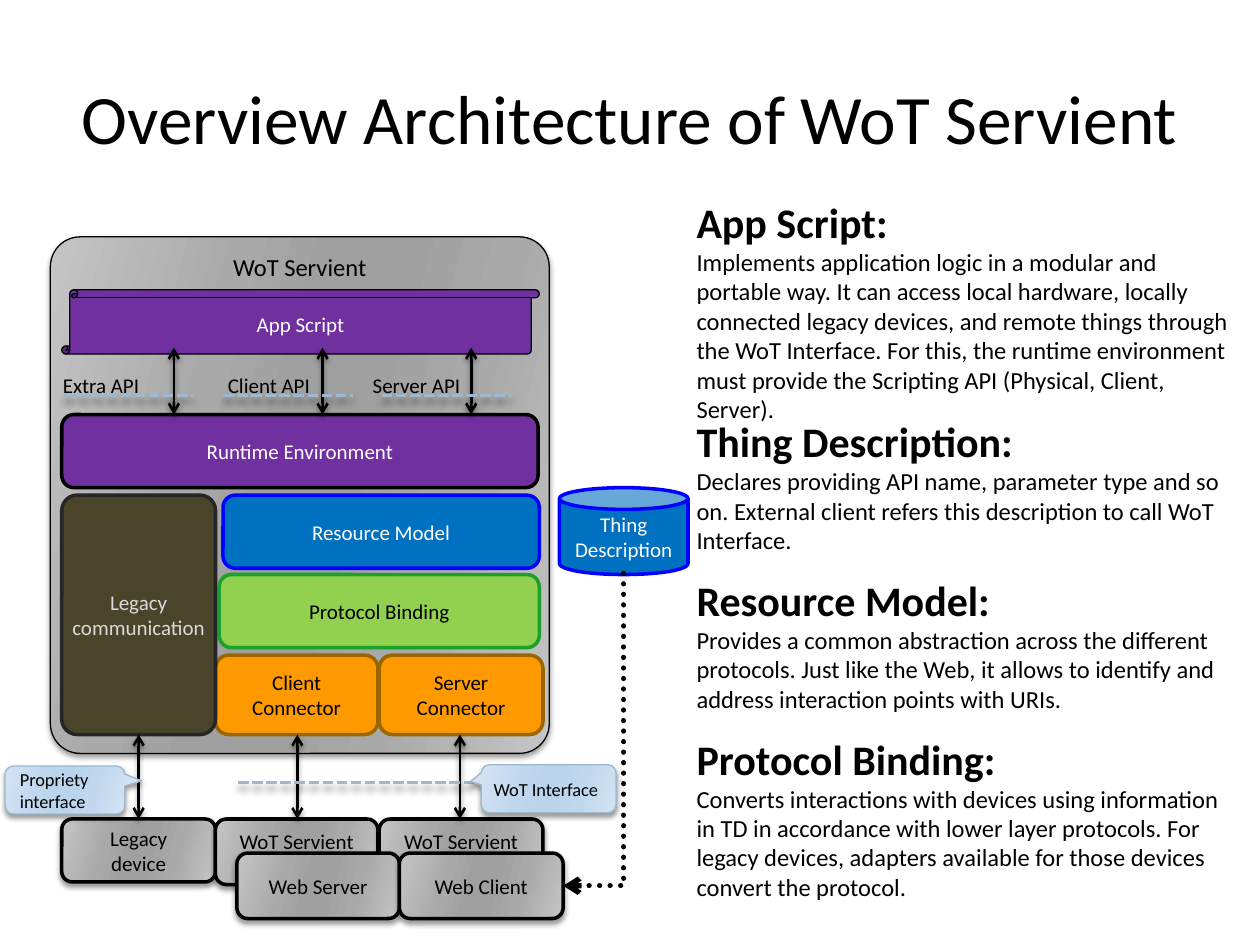
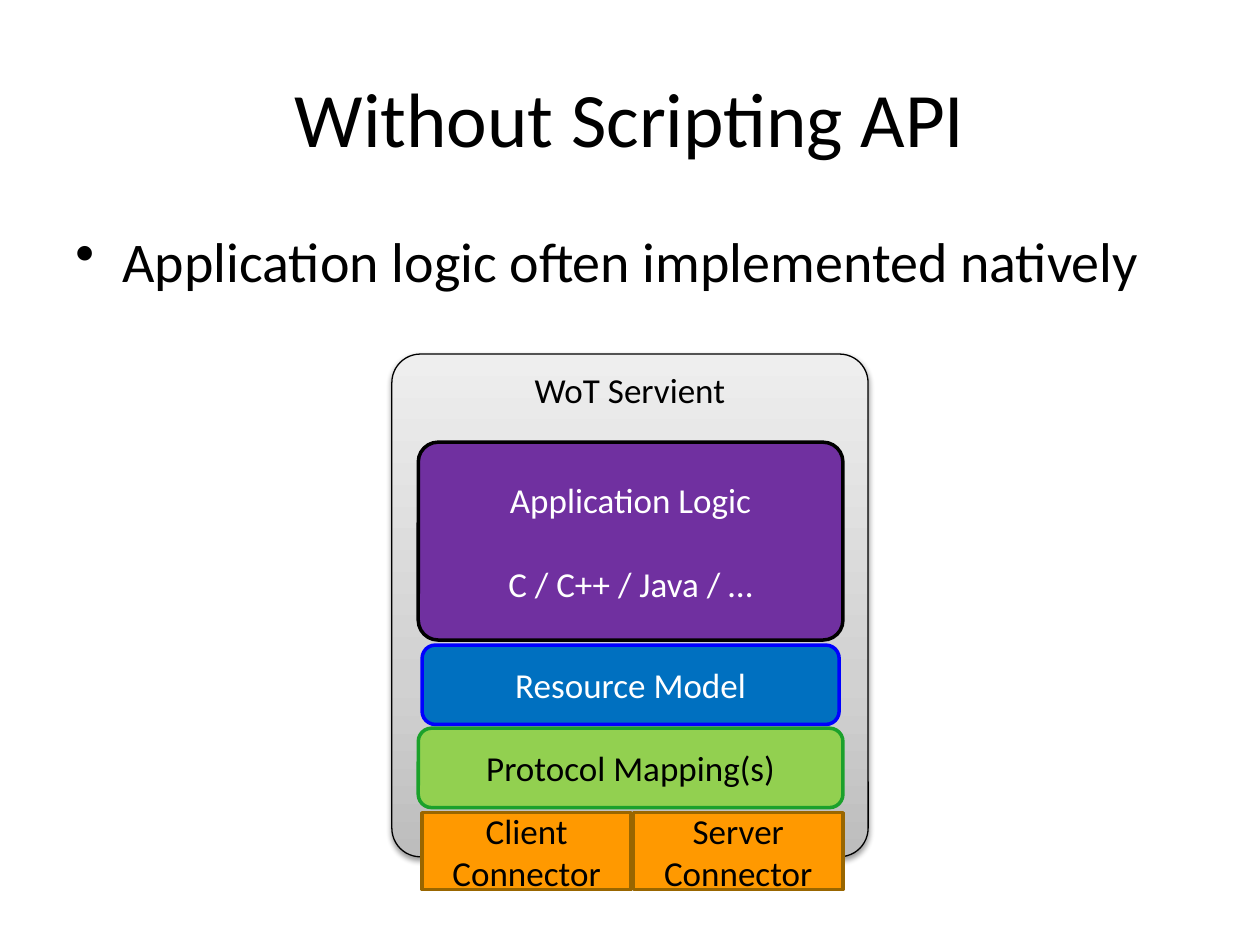
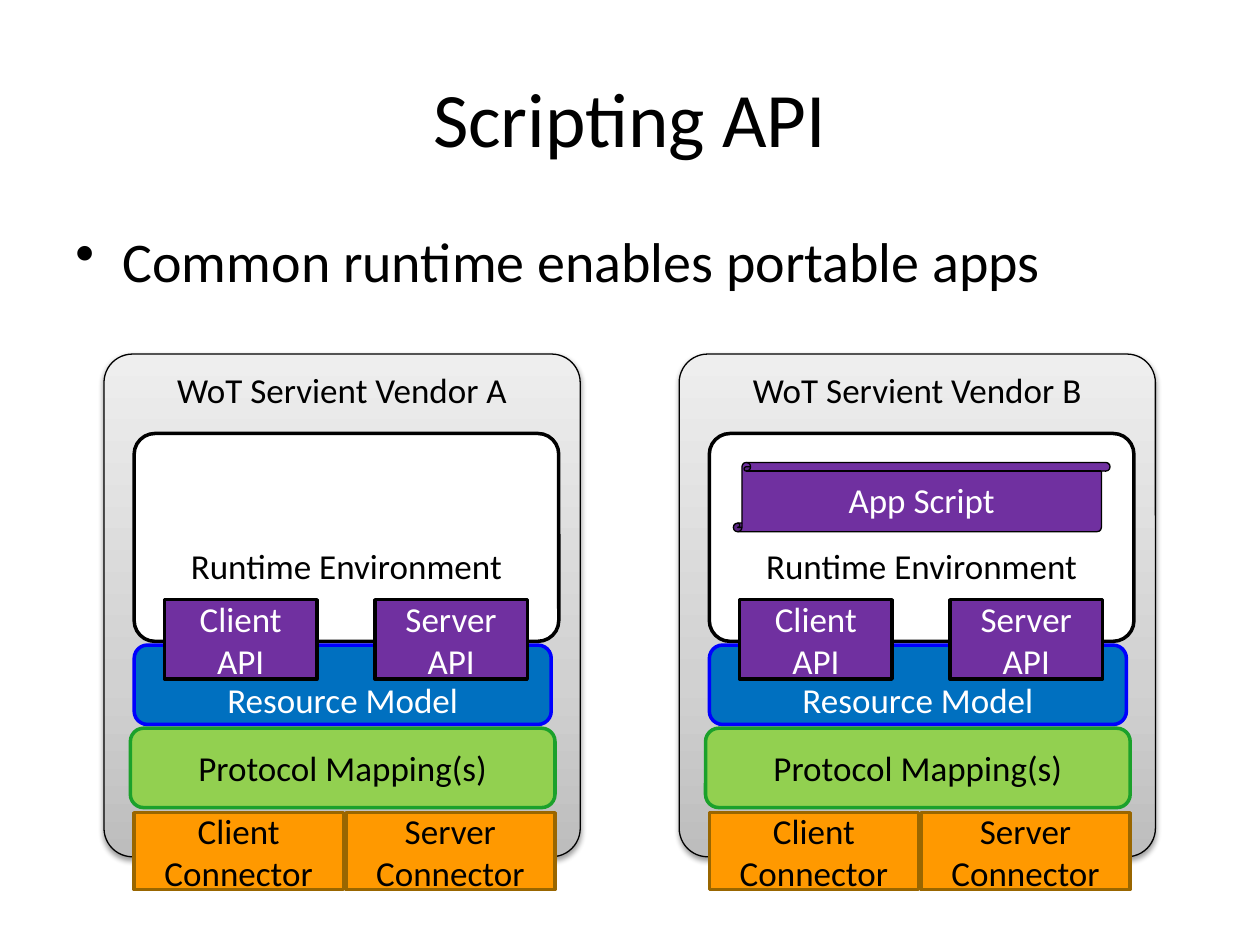
"""Build three slides on the architecture of a WoT servient."""
from dataclasses import dataclass, replace
from typing import NamedTuple, Optional, Union

from pptx import Presentation
from pptx.dml.color import RGBColor
from pptx.enum.dml import MSO_LINE
from pptx.enum.shapes import MSO_CONNECTOR, MSO_SHAPE
from pptx.enum.text import MSO_ANCHOR, MSO_AUTO_SIZE, PP_ALIGN
from pptx.oxml import parse_xml
from pptx.oxml.ns import nsdecls, qn
from pptx.oxml.xmlchemy import OxmlElement
from pptx.slide import Slide
from pptx.text.text import TextFrame
from pptx.util import Inches, Pt

WIDE, TALL = Inches(10), Inches(7.5)
COLS, ROWS = 100, 75
FONT = "Calibri"

BLACK = RGBColor(0x00, 0x00, 0x00)
WHITE = RGBColor(0xFF, 0xFF, 0xFF)
PURPLE = RGBColor(0x70, 0x30, 0xA0)
BLUE = RGBColor(0x00, 0x70, 0xC0)
DEEP = RGBColor(0x00, 0x00, 0xFF)
LIME = RGBColor(0x92, 0xD0, 0x50)
GREEN = RGBColor(0x1B, 0xA1, 0x2B)
ORANGE = RGBColor(0xFF, 0x99, 0x00)
BROWN = RGBColor(0x99, 0x66, 0x00)
OLIVE = RGBColor(0x4A, 0x45, 0x2A)
COAL = RGBColor(0x26, 0x26, 0x26)
PALE = RGBColor(0xD9, 0xD9, 0xD9)
STEEL = RGBColor(0x9F, 0xB8, 0xCD)


class Fade(NamedTuple):
    """A linear gradient: stops of percent and colour, clockwise angle."""
    stops: tuple
    angle: float


class Shade(NamedTuple):
    """A shadow that falls straight down."""
    alpha: float
    blur: float
    drop: float


class Look(NamedTuple):
    """Fill, outline and text colour of a box."""
    fill: Union[RGBColor, Fade]
    edge: RGBColor
    ink: RGBColor
    weight: float = 2
    shade: Optional[Shade] = None


@dataclass(frozen=True)
class Box:
    """A labelled shape, placed in grid columns and rows."""
    x: float
    y: float
    w: float
    h: float
    text: str
    look: Look
    size: float = 20
    kind: MSO_SHAPE = MSO_SHAPE.ROUNDED_RECTANGLE
    adj: tuple = ()
    anchor: MSO_ANCHOR = MSO_ANCHOR.MIDDLE
    align: PP_ALIGN = PP_ALIGN.CENTER
    wrap: bool = True
    inset: tuple = (1, 0.5, 1, 0.5)
    gap: float = 0


def mirror(ends: tuple, angle: float) -> Fade:
    """Return a gradient whose second half mirrors the first."""
    rim, mid, core = (RGBColor.from_string(end) for end in ends)
    return Fade(((0, rim), (30, mid), (45, core), (55, core), (73, mid), (100, rim)), angle)


SOFT = Shade(40, 3, 2)
FAR = Shade(40, 4, 3.4)
METAL = mirror(("C5C5C5", "A9A9A9", "A0A0A0"), 16)
SKY = mirror(("D3E3F2", "C0D8EE", "BAD4EC"), 16)
SILVER = Fade(((0, RGBColor(0xBD, 0xBD, 0xBD)), (35, RGBColor(0xD1, 0xD1, 0xD1)),
               (100, RGBColor(0xEE, 0xEE, 0xEE))), 270)

FRAME = Look(METAL, BLACK, BLACK, 0.75, SOFT)
NODE = Look(METAL, BLACK, BLACK, 2, SOFT)
NOTE = Look(SKY, STEEL, BLACK, 0.75, SOFT)
PANEL = Look(SILVER, BLACK, BLACK, 0.75, Shade(38, 3.1, 1.6))
APP = Look(PURPLE, BLACK, WHITE)
SCROLL = Look(PURPLE, BLACK, WHITE, 0.75)
MODEL = Look(BLUE, DEEP, WHITE)
BIND = Look(LIME, GREEN, BLACK)
PORT = Look(ORANGE, BROWN, BLACK)
OLD = Look(OLIVE, COAL, PALE)
BLANK = Look(WHITE, BLACK, BLACK)


def col(n: float) -> int:
    """Return the length of n grid columns."""
    return round(WIDE * n / COLS)


def row(n: float) -> int:
    """Return the length of n grid rows."""
    return round(TALL * n / ROWS)


def place(x: float, y: float, w: float, h: float) -> tuple:
    """Turn a grid area into slide lengths."""
    return col(x), row(y), col(w), row(h)


def write(frame: TextFrame, text: str, *, size: float, ink: RGBColor = BLACK,
          head: float = 0, align: PP_ALIGN = PP_ALIGN.LEFT,
          anchor: MSO_ANCHOR = MSO_ANCHOR.TOP, wrap: bool = True,
          inset: tuple = (1, 0.5, 1, 0.5), gap: float = 0,
          bullet: str = "", grow: bool = False) -> None:
    """Fill a frame with one paragraph per line; head sets a bold first line."""
    frame.word_wrap = wrap
    frame.auto_size = MSO_AUTO_SIZE.SHAPE_TO_FIT_TEXT if grow else MSO_AUTO_SIZE.NONE
    frame.vertical_anchor = anchor
    (frame.margin_left, frame.margin_top,
     frame.margin_right, frame.margin_bottom) = place(*inset)
    for i, line in enumerate(text.split("\n")):
        para = frame.add_paragraph() if i else frame.paragraphs[0]
        para.alignment = align
        para.space_before = Pt(gap if i else 0)
        if bullet:
            props = para._p.get_or_add_pPr()
            props.set("marL", str(col(3.75)))
            props.set("indent", str(-col(3.75)))
            mark = OxmlElement("a:buChar")
            mark.set("char", bullet)
            props.append(mark)
        run = para.add_run()
        run.text = line
        top = bool(head) and i == 0
        run.font.name = FONT
        run.font.size = Pt(head if top else size)
        run.font.bold = top
        run.font.color.rgb = ink


def cast(shape, shade: Optional[Shade]) -> None:
    """Give a shape its shadow, or none."""
    inner = ""
    if shade:
        inner = (f'<a:outerShdw blurRad="{Pt(shade.blur)}" dist="{Pt(shade.drop)}" '
                 f'dir="5400000" rotWithShape="0"><a:srgbClr val="{BLACK}">'
                 f'<a:alpha val="{shade.alpha * 1000}"/></a:srgbClr></a:outerShdw>')
    shape.element.spPr.append(
        parse_xml(f'<a:effectLst {nsdecls("a")}>{inner}</a:effectLst>'))


def paint(shape, fill: Union[RGBColor, Fade]) -> None:
    """Fill a shape with a colour or a gradient."""
    if isinstance(fill, RGBColor):
        shape.fill.solid()
        shape.fill.fore_color.rgb = fill
        return
    shape.fill.gradient()
    shape.fill.gradient_angle = 360 - fill.angle
    stops = shape.element.spPr.find(qn("a:gradFill")).find(qn("a:gsLst"))
    for stop in list(stops):
        stops.remove(stop)
    for share, tone in fill.stops:
        stops.append(parse_xml(f'<a:gs {nsdecls("a")} pos="{share * 1000}">'
                               f'<a:srgbClr val="{tone}"/></a:gs>'))


def draw(slide: Slide, box: Box) -> None:
    """Draw a box with its text."""
    look = box.look
    shape = slide.shapes.add_shape(box.kind, *place(box.x, box.y, box.w, box.h))
    for i, value in enumerate(box.adj):
        shape.adjustments[i] = value
    paint(shape, look.fill)
    shape.line.color.rgb = look.edge
    shape.line.width = Pt(look.weight)
    cast(shape, look.shade)
    write(shape.text_frame, box.text, size=box.size, ink=look.ink, align=box.align,
          anchor=box.anchor, wrap=box.wrap, inset=box.inset, gap=box.gap)


def label(slide: Slide, area: tuple, text: str, **form) -> None:
    """Add a plain text box."""
    write(slide.shapes.add_textbox(*place(*area)).text_frame, text, **form)


def link(slide: Slide, start: tuple, end: tuple, *, ink: RGBColor = BLACK,
         weight: float = 1.5, dash: Optional[MSO_LINE] = None, tips: tuple = (),
         shade: Optional[Shade] = SOFT, bent: bool = False) -> None:
    """Join two grid points; a bent link is turned a quarter clockwise."""
    kind = MSO_CONNECTOR.ELBOW if bent else MSO_CONNECTOR.STRAIGHT
    wire = slide.shapes.add_connector(kind, *place(*start, *end))
    wire.line.color.rgb = ink
    wire.line.width = Pt(weight)
    if dash:
        wire.line.dash_style = dash
    props = wire.element.spPr
    stroke = props.find(qn("a:ln"))
    for tip in tips:
        mark = OxmlElement(f"a:{tip}")
        mark.set("type", "arrow")
        stroke.append(mark)
    if bent:
        stroke.set("cap", "rnd")
        props.find(qn("a:xfrm")).set("rot", "5400000")
        props.find(qn("a:prstGeom")).set("prst", "bentConnector2")
    cast(wire, shade)


def start(deck, title: str, size: float = 44, point: str = "") -> Slide:
    """Add a titled slide, with an optional bullet point."""
    slide = deck.slides.add_slide(deck.slide_layouts[5])
    head = slide.shapes.title
    head.left, head.top, head.width, head.height = place(5, 3, 90, 12.5)
    write(head.text_frame, title, size=size, align=PP_ALIGN.CENTER,
          anchor=MSO_ANCHOR.MIDDLE)
    if point:
        label(slide, (5, 17.5, 90, 49.5), point, size=32, bullet="•")
    return slide


def outline(deck) -> None:
    """Draw the overview of the servient."""
    slide = start(deck, "Overview Architecture of WoT Servient", 39.6)
    left = PP_ALIGN.LEFT
    top = MSO_ANCHOR.TOP
    call = MSO_SHAPE.ROUNDED_RECTANGULAR_CALLOUT
    both = ("headEnd", "tailEnd")

    draw(slide, Box(4, 18.8, 39.6, 41, "WoT Servient", FRAME, 14,
                    adj=(0.06,), anchor=top, wrap=False))
    for box in (
        Box(30.1, 52, 13, 6.3, "Server\nConnector", PORT),
        Box(17.1, 52, 12.9, 6.3, "Client\nConnector", PORT),
        Box(17.4, 45.6, 25.4, 5.8, "Protocol Binding", BIND),
        Box(17.7, 39.3, 25.1, 5.8, "Resource Model", MODEL),
        Box(4.9, 23, 37.9, 5.1, "App Script", SCROLL,
            kind=MSO_SHAPE.VERTICAL_SCROLL, wrap=False),
        Box(4.9, 39.3, 12.2, 19, "Legacy communication", OLD,
            adj=(0.1,), inset=(0.4, 0.5, 0.4, 0.5)),
        Box(4.9, 32.9, 37.8, 5.8, "Runtime Environment", APP),
        Box(44.4, 38.7, 10.2, 6.9, "Thing\nDescription", MODEL,
            kind=MSO_SHAPE.CAN, wrap=False),
        Box(4.9, 65, 12.2, 5, "Legacy\ndevice", NODE, wrap=False),
        Box(17.1, 65, 12.9, 5.2, "WoT Servient", NODE, anchor=top, wrap=False),
        Box(30.1, 65, 13, 5.2, "WoT Servient", NODE, anchor=top, wrap=False),
        Box(18.8, 67.7, 12.9, 5.2, "Web Server", NODE, wrap=False),
        Box(31.7, 67.7, 13, 5.2, "Web Client", NODE, wrap=False),
    ):
        draw(slide, replace(box, size=12))

    tags = (("Extra API", 4, 13.1), ("Client API", 17.1, 10.9), ("Server API", 28.6, 11.6))
    for i, (name, x, w) in enumerate(tags):
        beam = 13.8 + 11.8 * i
        dash = 5.1 + 12.6 * i
        link(slide, (beam, 27.6), (beam, 32.9), tips=both)
        label(slide, (x, 29.1, w, 3), name, size=12, grow=True)
        link(slide, (dash, 31.4), (dash + 10.3, 31.4), ink=STEEL, weight=2,
             dash=MSO_LINE.SQUARE_DOT, shade=FAR)
    for x in (11, 23.6, 36.5):
        link(slide, (x, 58.3), (x, 65), tips=both)
    link(slide, (18.9, 62.1), (39, 62.1), ink=STEEL, weight=2,
         dash=MSO_LINE.SQUARE_DOT, shade=FAR)
    draw(slide, Box(0.4, 60.8, 9.5, 3.8, "Propriety interface", NOTE, 10.5, call,
                    (0.64, -0.19, 0.17), align=left))
    draw(slide, Box(38.2, 60.7, 10.7, 3.8, "WoT Interface", NOTE, 10.5, call,
                    (-0.58, -0.15, 0.17), align=left, inset=(0.8, 0.5, 0, 0.5)))
    link(slide, (34.7, 55.5), (59.5, 60.3), weight=3, dash=MSO_LINE.ROUND_DOT,
         tips=("tailEnd",), shade=None, bent=True)

    for y, h, text in (
        (15.1, 16.8, "App Script:\nImplements application logic in a modular and portable way. "
         "It can access local hardware, locally connected legacy devices, and remote things "
         "through the WoT Interface. For this, the runtime environment must provide the "
         "Scripting API (Physical, Client, Server)."),
        (32.5, 12.1, "Thing Description:\nDeclares providing API name, parameter type and so on. "
         "External client refers this description to call WoT Interface."),
        (45.1, 12.1, "Resource Model:\nProvides a common abstraction across the different "
         "protocols. Just like the Web, it allows to identify and address interaction points "
         "with URIs."),
        (57.7, 14.5, "Protocol Binding:\nConverts interactions with devices using information in "
         "TD in accordance with lower layer protocols. For legacy devices, adapters available "
         "for those devices convert the protocol."),
    ):
        label(slide, (54.3, y, 45.3, h), text, size=14, head=24, grow=True)


def stack(slide: Slide, x: float, name: str, core: Box, model: Box) -> None:
    """Draw a servient panel at column x with its layers."""
    layers = [
        Box(0, 28.1, 37.8, 39.9, name, PANEL, adj=(0.06,),
            anchor=MSO_ANCHOR.TOP, wrap=False),
        core,
        Box(2.1, 57.8, 33.7, 6.3, "Protocol Mapping(s)", BIND),
        model,
    ]
    layers += [Box(2.4 + 16.8 * i, 64.5, 16.6, 6.1, f"{side}\nConnector", PORT, adj=(0,))
               for i, side in enumerate(("Client", "Server"))]
    for box in layers:
        draw(slide, replace(box, x=x + box.x))


def native(deck) -> None:
    """Draw the servient that has no scripting."""
    slide = start(deck, "Without Scripting API",
                  point="Application logic often implemented natively")
    core = Box(2.1, 35.1, 33.7, 15.7, "Application Logic\nC / C++ / Java / …", APP,
               adj=(0.1,), gap=24)
    stack(slide, 31.1, "WoT Servient", core,
          Box(2.4, 51.2, 33.1, 6.3, "Resource Model", MODEL))


def script(deck) -> None:
    """Draw two servients that share a runtime."""
    slide = start(deck, "Scripting API", point="Common runtime enables portable apps")
    low = MSO_ANCHOR.BOTTOM
    core = Box(2.4, 34.4, 33.7, 16.5, "Runtime Environment", BLANK, adj=(0.1,),
               anchor=low, inset=(1, 0.5, 1, 3.85))
    model = Box(2.4, 51.2, 33.1, 6.3, "Resource Model", MODEL, anchor=low,
                inset=(1, 0.5, 1, 0))
    for x, mark in ((8.25, "A"), (53.9, "B")):
        stack(slide, x, f"WoT Servient Vendor {mark}", core, model)
        for i, side in enumerate(("Client", "Server")):
            draw(slide, Box(x + 4.8 + 16.7 * i, 47.6, 12.1, 6.3, f"{side}\nAPI", APP, adj=(0,)))
    draw(slide, Box(58.2, 36.7, 29.9, 5.5, "App Script", SCROLL,
                    kind=MSO_SHAPE.VERTICAL_SCROLL, wrap=False))


def main() -> None:
    """Build and save the deck."""
    deck = Presentation()
    deck.slide_width, deck.slide_height = WIDE, TALL
    outline(deck)
    native(deck)
    script(deck)
    deck.save("out.pptx")


if __name__ == "__main__":
    main()
